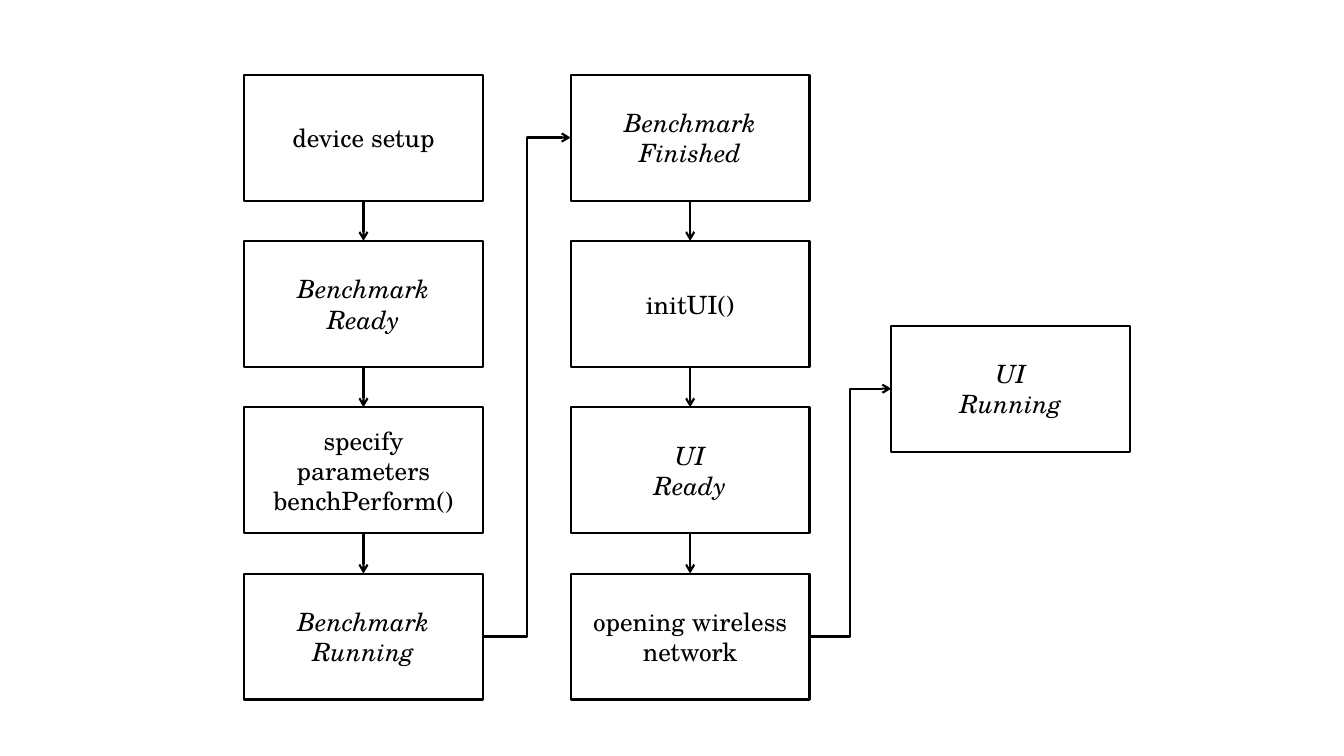
from dataclasses import dataclass

from lxml.etree import SubElement
from pptx import Presentation
from pptx.dml.color import RGBColor
from pptx.enum.shapes import MSO_CONNECTOR, MSO_SHAPE
from pptx.enum.text import MSO_ANCHOR, PP_ALIGN
from pptx.oxml.ns import qn
from pptx.util import Inches, Pt


@dataclass(frozen=True)
class Theme:
    ink: RGBColor = RGBColor(0, 0, 0)
    paper: RGBColor = RGBColor(255, 255, 255)
    font: str = "TeX Gyre Schola"
    size: Pt = Pt(18)
    line: Pt = Pt(1.5)


THEME = Theme()

# Grid in inches: left edge of each column, first row and row pitch
COLUMNS = (2.42, 5.66, 8.84)
TOP, PITCH = 0.74, 1.65
BOX_W, BOX_H = 2.37, 1.25
BOTTOM_SIDE, LEFT_SIDE, RIGHT_SIDE, TOP_SIDE = 2, 1, 3, 0

# Each column: starting row, then its steps as (lines, is a state)
FLOW = (
    (0, (
        (("device setup",), False),
        (("Benchmark", "Ready"), True),
        (("specify parameters", "benchPerform()"), False),
        (("Benchmark", "Running"), True),
    )),
    (0, (
        (("Benchmark", "Finished"), True),
        (("initUI()",), False),
        (("UI", "Ready"), True),
        (("opening wireless", "network"), False),
    )),
    (1.51, (
        (("UI", "Running"), True),
    )),
)


def add_step(slide, col, row, lines, is_state):
    """Add a box at a grid cell; states are set in italics."""
    sp = slide.shapes.add_shape(
        MSO_SHAPE.RECTANGLE, Inches(COLUMNS[col]), Inches(TOP + row * PITCH),
        Inches(BOX_W), Inches(BOX_H))
    sp.shadow.inherit = False
    sp.fill.solid()
    sp.fill.fore_color.rgb = THEME.paper
    sp.line.color.rgb = THEME.ink
    sp.line.width = THEME.line
    tf = sp.text_frame
    tf.word_wrap = True
    tf.vertical_anchor = MSO_ANCHOR.MIDDLE
    font_format = {"name": THEME.font, "size": THEME.size, "italic": is_state}
    for i, line in enumerate(lines):
        p = tf.paragraphs[0] if i == 0 else tf.add_paragraph()
        p.alignment = PP_ALIGN.CENTER
        r = p.add_run()
        r.text = line
        for name, value in font_format.items():
            setattr(r.font, name, value)
        r.font.color.rgb = THEME.ink
    return sp


def add_arrow(slide, kind, start, start_side, end, end_side):
    cxn = slide.shapes.add_connector(kind, 0, 0, 0, 0)
    cxn.begin_connect(start, start_side)
    cxn.end_connect(end, end_side)
    cxn.line.color.rgb = THEME.ink
    cxn.line.width = THEME.line
    ln = cxn.line._get_or_add_ln()
    SubElement(ln, qn("a:tailEnd"), type="arrow")
    SubElement(cxn._element.spPr, qn("a:effectLst"))


def main():
    prs = Presentation()
    prs.slide_width, prs.slide_height = Inches(13.33), Inches(7.5)
    slide = prs.slides.add_slide(prs.slide_layouts[6])

    columns = [
        [add_step(slide, col, first_row + i, lines, is_state)
         for i, (lines, is_state) in enumerate(steps)]
        for col, (first_row, steps) in enumerate(FLOW)
    ]
    for boxes in columns:
        for upper, lower in zip(boxes, boxes[1:]):
            add_arrow(slide, MSO_CONNECTOR.STRAIGHT,
                      upper, BOTTOM_SIDE, lower, TOP_SIDE)
    for boxes, next_boxes in zip(columns, columns[1:]):
        add_arrow(slide, MSO_CONNECTOR.ELBOW,
                  boxes[-1], RIGHT_SIDE, next_boxes[0], LEFT_SIDE)

    prs.save("out.pptx")


if __name__ == "__main__":
    main()
